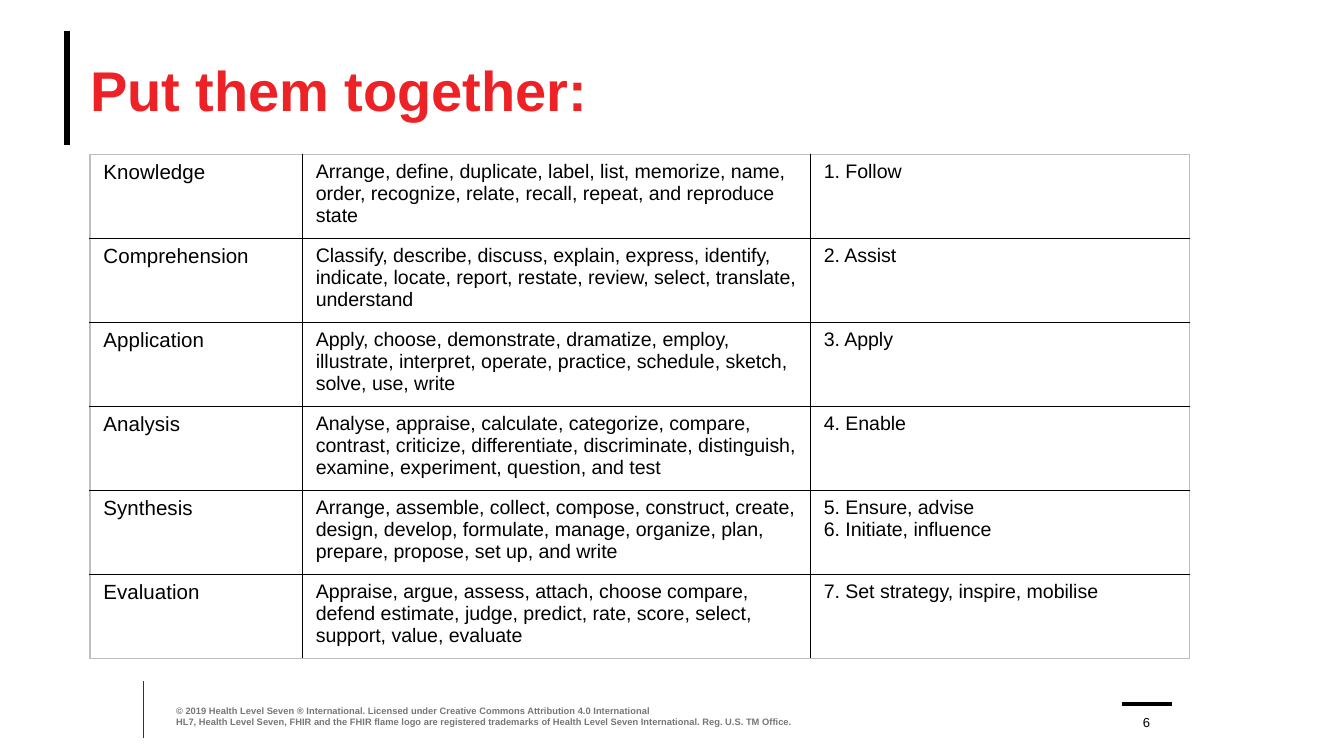
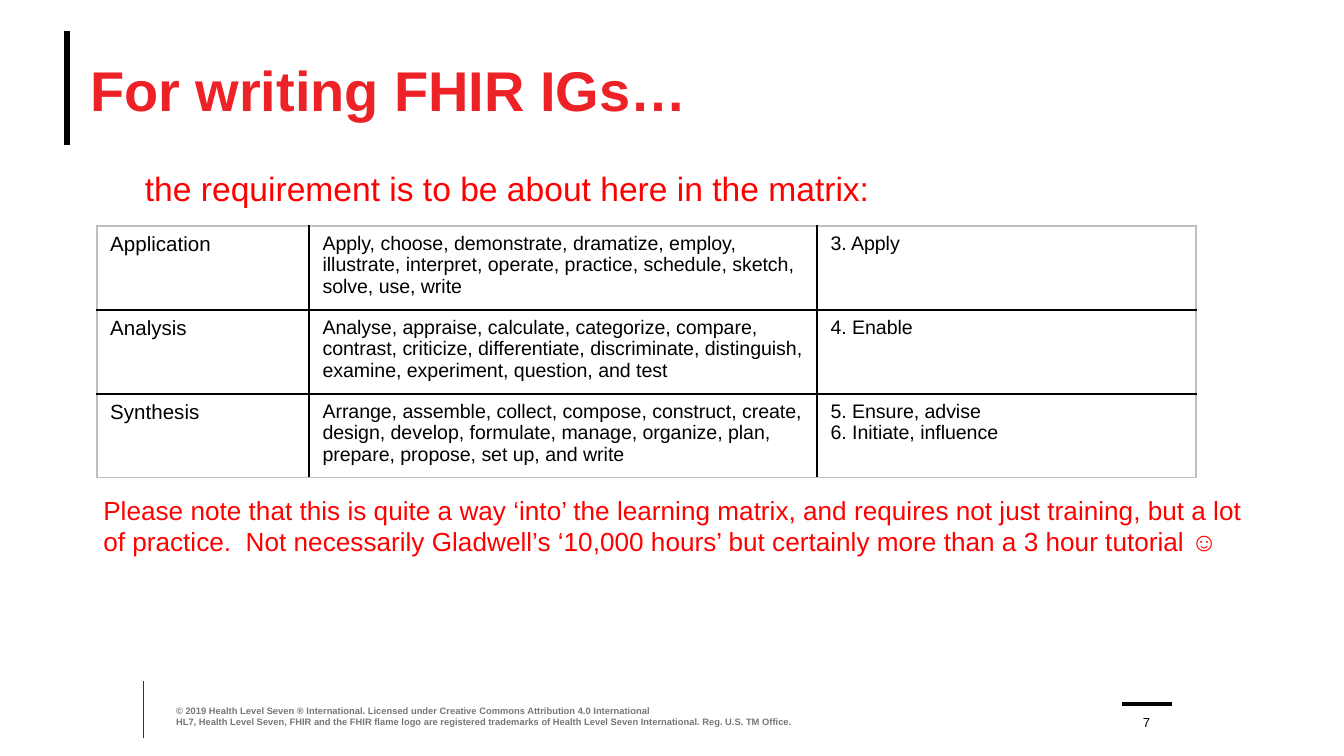
import pptx
import pptx.dml.color
import pptx.enum.shapes
import pptx.enum.text
import pptx.oxml
import pptx.oxml.ns
import pptx.util
from lxml import etree

Inches = pptx.util.Inches
Pt = pptx.util.Pt
RGBColor = pptx.dml.color.RGBColor
ANCHOR = pptx.enum.text.MSO_ANCHOR
ALIGN = pptx.enum.text.PP_ALIGN
AUTO = pptx.enum.text.MSO_AUTO_SIZE

FONT = "Arial"
TITLE_RED = RGBColor(0xEC, 0x22, 0x27)
NOTE_RED = RGBColor(0xFF, 0x00, 0x00)
BLACK = RGBColor(0x00, 0x00, 0x00)
FOOTER_GREY = RGBColor(0x74, 0x76, 0x79)
FOOTER_RULE = RGBColor(0x3D, 0x30, 0x29)
FRAME_GREY = RGBColor(0xBF, 0xBF, 0xBF)

COPYRIGHT = [
    "© 2019 Health Level Seven ® International. Licensed under Creative Commons Attribution 4.0 International",
    "HL7, Health Level Seven, FHIR and the FHIR flame logo are registered trademarks of "
    "Health Level Seven International. Reg. U.S. TM Office.",
]
RULES = [
    ((0.5, 0.23), (0.5, 1.08), BLACK, 3.25),
    ((1.07, 5.07), (1.07, 5.49), FOOTER_RULE, 0.5),
    ((8.35, 5.24), (8.72, 5.24), BLACK, 2),
]
MATRIX = [
    ("Knowledge",
     "Arrange, define, duplicate, label, list, memorize, name, order, recognize, relate, "
     "recall, repeat, and reproduce state",
     "1. Follow"),
    ("Comprehension",
     "Classify, describe, discuss, explain, express, identify, indicate, locate, report, "
     "restate, review, select, translate, understand",
     "2. Assist"),
    ("Application",
     "Apply, choose, demonstrate, dramatize, employ, illustrate, interpret, operate, "
     "practice, schedule, sketch, solve, use, write",
     "3. Apply"),
    ("Analysis",
     "Analyse, appraise, calculate, categorize, compare, contrast, criticize, differentiate, "
     "discriminate, distinguish, examine, experiment, question, and test",
     "4. Enable"),
    ("Synthesis",
     "Arrange, assemble, collect, compose, construct, create, design, develop, formulate, "
     "manage, organize, plan, prepare, propose, set up, and write",
     "5. Ensure, advise\n6. Initiate, influence"),
    ("Evaluation",
     "Appraise, argue, assess, attach, choose compare, defend estimate, judge, predict, rate, "
     "score, select, support, value, evaluate",
     "7. Set strategy, inspire, mobilise"),
]
COLUMN_WIDTHS = [1.58, 3.78, 2.82]
COLUMN_SIZES = [11, 10.5, 10.5]
ROW_HEIGHT = 0.41
SLIDES = [
    {"title": "Put them together:", "number": 6, "rows": MATRIX,
     "place": (0.67, 1.15, 8.19, 3.75), "notes": []},
    {"title": "For writing FHIR IGs…", "number": 7, "rows": MATRIX[2:5],
     "place": (0.72, 1.68, 8.19, 1.88),
     "notes": [
         ("the requirement is to be about here in the matrix:", (0.98, 1.2, 6.58, 0.4), 18),
         ("Please note that this is quite a way ‘into’ the learning matrix, and requires not "
          "just training, but a lot of practice.  Not necessarily Gladwell’s ‘10,000 hours’ "
          "but certainly more than a 3 hour tutorial ☺", (0.67, 3.63, 8.79, 0.57), 14),
     ]},
]


def write(frame, paragraphs, size, color=BLACK, bold=False, align=ALIGN.LEFT):
    for index, text in enumerate(paragraphs):
        para = frame.add_paragraph() if index else frame.paragraphs[0]
        para.alignment = align
        for position, line in enumerate(text.split("\n")):
            if position:
                para.add_line_break()
            span = para.add_run()
            span.text = line
            span.font.name = FONT
            span.font.size = Pt(size)
            span.font.bold = bold
            span.font.color.rgb = color


def remove_insets(frame, anchor):
    frame.margin_left = frame.margin_right = 0
    frame.margin_top = frame.margin_bottom = 0
    frame.vertical_anchor = anchor


def add_box(page, place):
    frame = page.shapes.add_textbox(*map(Inches, place)).text_frame
    frame.word_wrap = True
    return frame


def add_rule(page, start, end, color, width):
    rule = page.shapes.add_connector(
        pptx.enum.shapes.MSO_CONNECTOR.STRAIGHT, *map(Inches, start + end))
    rule.line.color.rgb = color
    rule.line.width = Pt(width)
    etree.SubElement(rule.element.spPr, pptx.oxml.ns.qn("a:effectLst"))


def set_borders(cell, colors):
    properties = cell._tc.get_or_add_tcPr()
    for side, color in colors.items():
        properties.append(pptx.oxml.parse_xml(
            f'<a:ln{side} {pptx.oxml.ns.nsdecls("a")} w="{Pt(1)}">'
            f'<a:solidFill><a:srgbClr val="{color}"/></a:solidFill></a:ln{side}>'))


def add_matrix(page, rows, place):
    last_row, last_column = len(rows) - 1, len(COLUMN_WIDTHS) - 1
    holder = page.shapes.add_table(len(rows), len(COLUMN_WIDTHS), *map(Inches, place))
    table = holder.table
    table.first_row = table.horz_banding = False
    for column, width in zip(table.columns, COLUMN_WIDTHS):
        column.width = Inches(width)
    for r, texts in enumerate(rows):
        table.rows[r].height = Inches(ROW_HEIGHT)
        for c, text in enumerate(texts):
            cell = table.cell(r, c)
            outer = {"L": c == 0, "R": c == last_column, "T": r == 0, "B": r == last_row}
            set_borders(cell, {side: FRAME_GREY if edge else BLACK
                               for side, edge in outer.items()})
            cell.fill.background()
            write(cell.text_frame, [text], COLUMN_SIZES[c])
    holder.width, holder.height = map(Inches, place[2:])


def add_page(deck, title, number):
    page = deck.slides.add_slide(deck.slide_layouts[5])
    for rule in RULES:
        add_rule(page, *rule)
    heading = page.shapes.title
    heading.left, heading.top, heading.width, heading.height = map(
        Inches, (0.67, 0.23, 9, 0.86))
    remove_insets(heading.text_frame, ANCHOR.MIDDLE)
    write(heading.text_frame, [title], 30, color=TITLE_RED, bold=True)
    footer = add_box(page, (1.31, 5.24, 4.95, 0.17))
    remove_insets(footer, ANCHOR.BOTTOM)
    write(footer, COPYRIGHT, 5, color=FOOTER_GREY, bold=True)
    page_number = add_box(page, (8.38, 5.26, 0.3, 0.17))
    remove_insets(page_number, ANCHOR.BOTTOM)
    write(page_number, [str(number)], 7, align=ALIGN.CENTER)
    return page


def main():
    deck = pptx.Presentation()
    deck.slide_width = Inches(10)
    deck.slide_height = deck.slide_width * 9 // 16
    for content in SLIDES:
        page = add_page(deck, content["title"], content["number"])
        for text, place, size in content["notes"]:
            frame = add_box(page, place)
            frame.auto_size = AUTO.SHAPE_TO_FIT_TEXT
            write(frame, [text], size, color=NOTE_RED)
        add_matrix(page, content["rows"], content["place"])
    deck.save("out.pptx")


if __name__ == "__main__":
    main()
